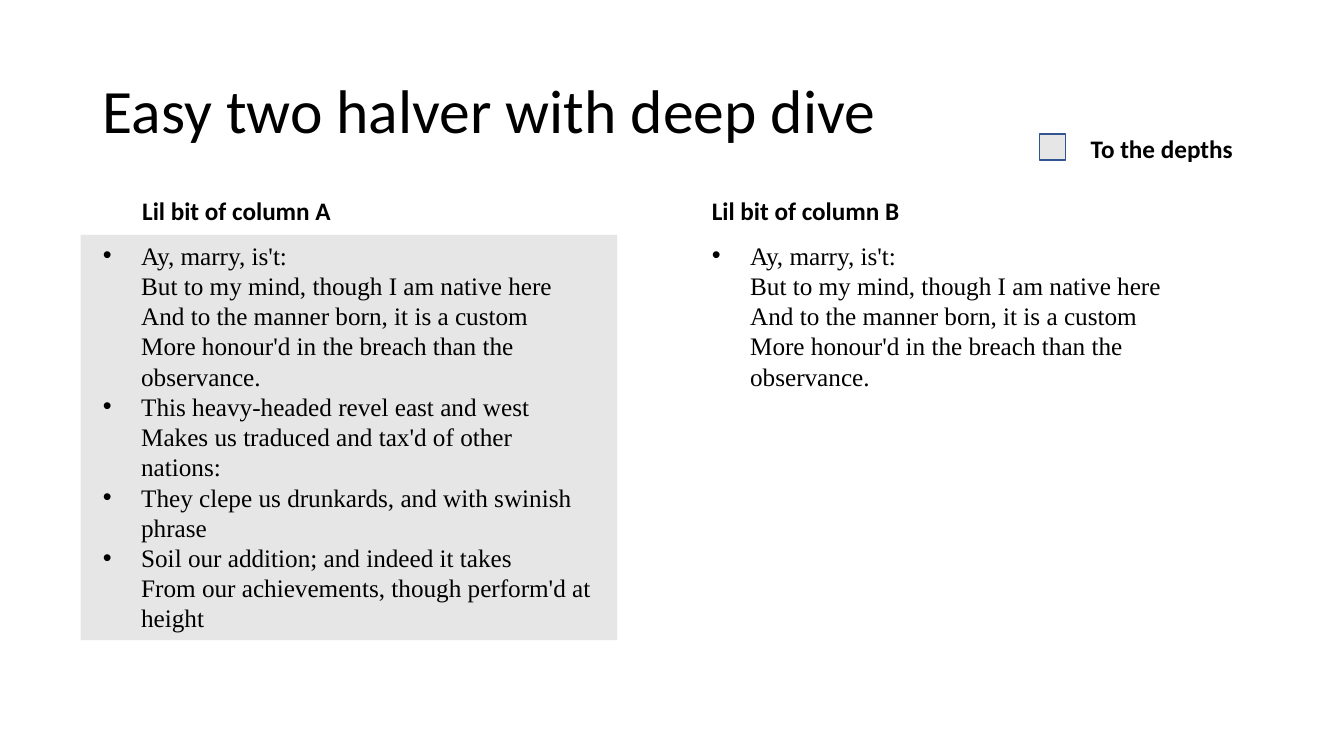
from lxml.etree import SubElement
from pptx import Presentation
from pptx.dml.color import RGBColor
from pptx.enum.shapes import MSO_SHAPE
from pptx.enum.text import MSO_ANCHOR, MSO_AUTO_SIZE, PP_ALIGN
from pptx.oxml.ns import qn
from pptx.util import Inches, Pt

BLACK, GREY, BLUE = "000000", "E7E6E6", "325491"
CUSTOM = [
    "Ay, marry, is't:",
    "But to my mind, though I am native here",
    "And to the manner born, it is a custom",
    "More honour'd in the breach than the observance.",
]
COLUMN_A = [
    CUSTOM,
    ["This heavy-headed revel east and west", "Makes us traduced and tax'd of other nations:"],
    ["They clepe us drunkards, and with swinish phrase"],
    ["Soil our addition; and indeed it takes", "From our achievements, though perform'd at height"],
]
COLUMN_B = [CUSTOM]


def colour(value):
    return RGBColor.from_string(value)


def place(shape, left, top, width, height):
    shape.left, shape.top = Inches(left), Inches(top)
    shape.width, shape.height = Inches(width), Inches(height)


def add_span(para, text, size, font="Calibri", bold=False):
    span = para.add_run()
    span.text = text
    span.font.name = font
    span.font.size = Pt(size)
    span.font.bold = bold
    span.font.color.rgb = colour(BLACK)


def prepare_frame(box, anchor=MSO_ANCHOR.TOP):
    frame = box.text_frame
    frame.word_wrap = True
    frame.auto_size = MSO_AUTO_SIZE.NONE
    frame.vertical_anchor = anchor
    return frame


def fill_line(box, text, size, bold=False, anchor=MSO_ANCHOR.TOP, spacing=1.0):
    para = prepare_frame(box, anchor).paragraphs[0]
    para.alignment = PP_ALIGN.LEFT
    para.line_spacing = spacing
    para.space_before = Pt(0)
    add_span(para, text, size, bold=bold)


def set_bullet(para):
    properties = para._p.get_or_add_pPr()
    properties.set("marL", str(Inches(0.38)))
    properties.set("indent", str(Inches(-0.38)))
    SubElement(properties, qn("a:buFont"), typeface="Arial")
    SubElement(properties, qn("a:buChar"), char="•")


def fill_list(box, items):
    frame = prepare_frame(box)
    for index, lines in enumerate(items):
        para = frame.add_paragraph() if index else frame.paragraphs[0]
        set_bullet(para)
        para.space_before = Pt(0)
        for number, line in enumerate(lines):
            if number:
                para.add_line_break()
            add_span(para, line, 18, "Times New Roman")


def add_square(page, left, top, width, height, outline=None):
    square = page.shapes.add_shape(
        MSO_SHAPE.RECTANGLE, Inches(left), Inches(top), Inches(width), Inches(height))
    square.shadow.inherit = False
    square.fill.solid()
    square.fill.fore_color.rgb = colour(GREY)
    if outline:
        square.line.color.rgb = colour(outline)
        square.line.width = Pt(1)
    else:
        square.line.fill.background()
    return square


def main():
    deck = Presentation()
    deck.slide_width, deck.slide_height = Inches(13.33), Inches(7.5)
    page = deck.slides.add_slide(deck.slide_layouts.get_by_name("Comparison"))
    title, heading_a, list_a, heading_b, list_b = page.placeholders

    place(title, 0.92, 0.4, 11.5, 1.45)
    fill_line(title, "Easy two halver with deep dive", 44, anchor=MSO_ANCHOR.MIDDLE, spacing=0.9)

    columns = [
        (heading_a, 1.31, "Lil bit of column A", list_a, 0.92, 4.34, COLUMN_A),
        (heading_b, 6.96, "Lil bit of column B", list_b, 6.96, 2.22, COLUMN_B),
    ]
    for heading, heading_left, text, body, body_left, height, items in columns:
        place(heading, heading_left, 1.89, 2.82, 0.4)
        fill_line(heading, text, 18, bold=True)
        place(body, body_left, 2.33, 5.09, height)
        fill_list(body, items)

    panel = add_square(page, 0.8, 2.33, 5.32, 4.02)
    title.element.addprevious(panel.element)

    add_square(page, 10.31, 1.33, 0.26, 0.26, BLUE)
    legend = page.shapes.add_textbox(Inches(10.72), Inches(1.27), Inches(1.7), Inches(0.4))
    fill_line(legend, "To the depths", 18, bold=True)
    deck.save("out.pptx")


if __name__ == "__main__":
    main()
